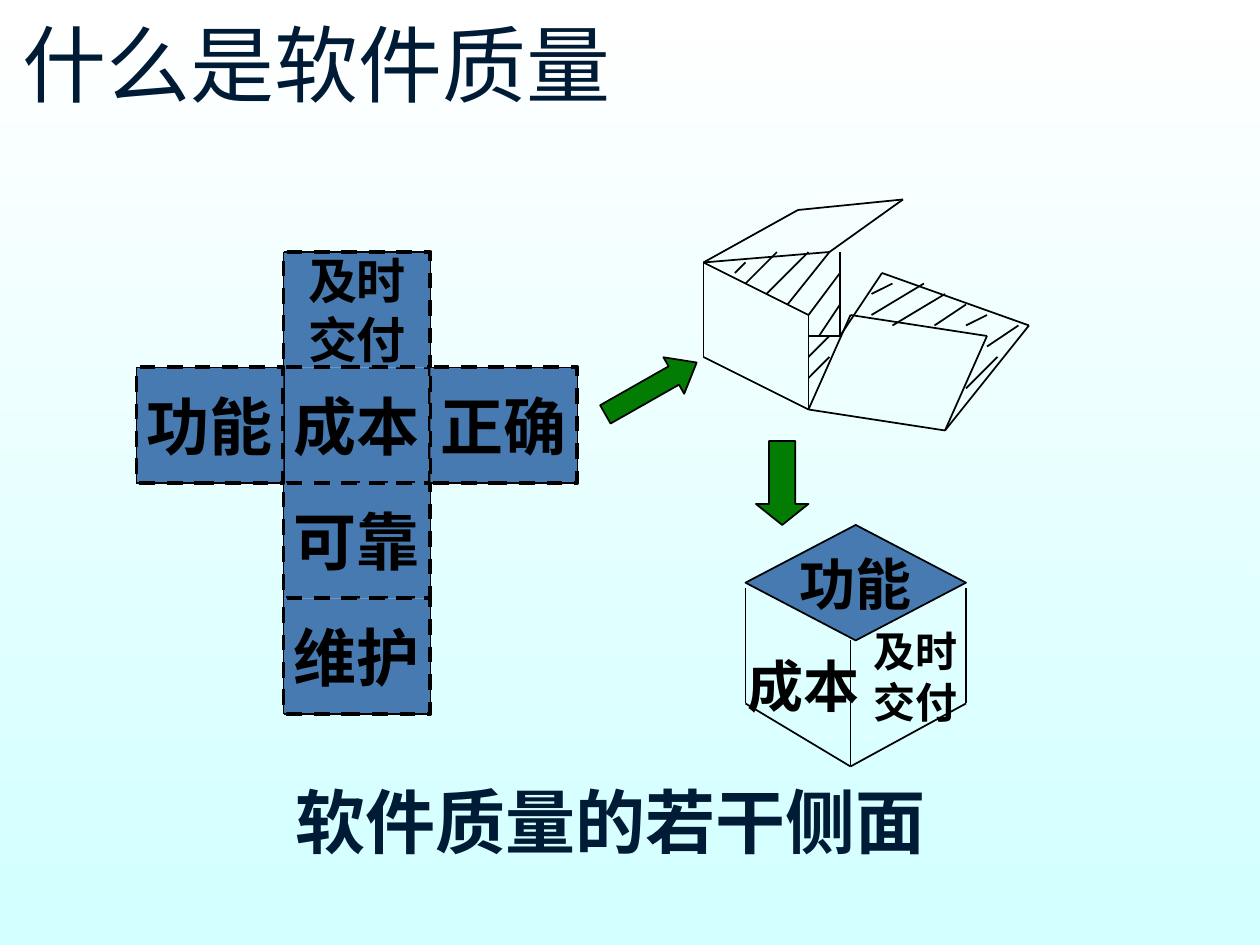
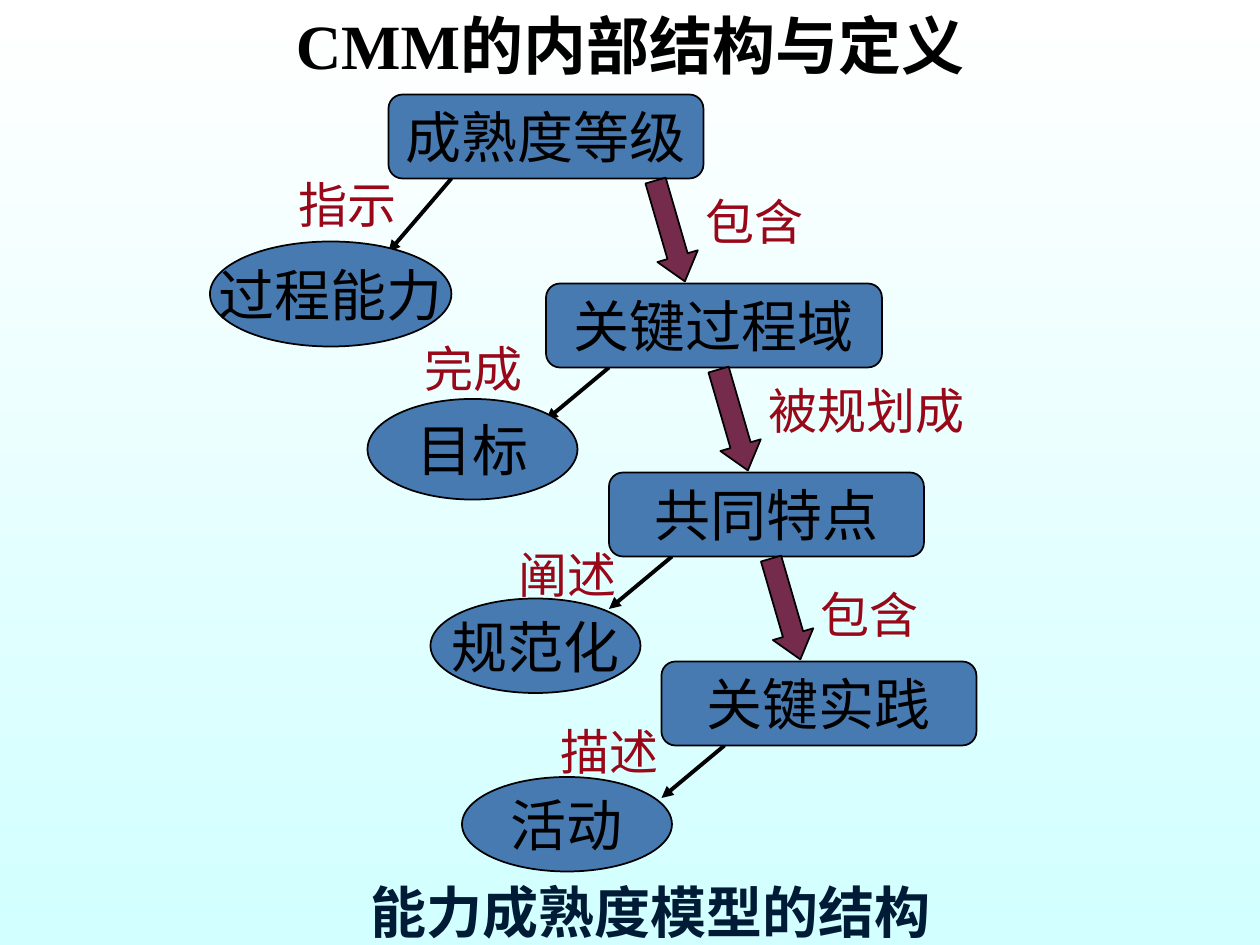
from pptx import Presentation
from pptx.dml.color import RGBColor
from pptx.enum.dml import MSO_LINE_DASH_STYLE as Dash
from pptx.enum.shapes import MSO_CONNECTOR as Connector, MSO_SHAPE as Shape
from pptx.enum.text import MSO_ANCHOR as Anchor, PP_ALIGN as Align
from pptx.oxml.ns import qn
from pptx.util import Pt
from lxml.etree import SubElement

COLORS = {
    "top": "FFFFFF", "bottom": "D2FFFF", "navy": "001B36", "black": "000000",
    "blue": "477AB1", "green": "037C03", "plum": "752B4B", "red": "980819",
}
CJK = "Noto Sans CJK SC"
SERIF = "Times New Roman"
GRID = 6


def add_item(slide, box, lines=(), size=32, kind=None, fill="blue", color="black", bold=False,
             line_width=1, wrap=False, align=None, anchor=None):
    left, top, width, height = [Pt(value) for value in box]
    if kind is None:
        shape = slide.shapes.add_textbox(left, top, width, height)
    else:
        shape = slide.shapes.add_shape(kind, left, top, width, height)
        shape.shadow.inherit = False
        shape.fill.solid()
        shape.fill.fore_color.rgb = RGBColor.from_string(COLORS[fill])
        shape.line.color.rgb = RGBColor.from_string(COLORS["black"])
        shape.line.width = Pt(line_width)
        align, anchor = Align.CENTER, Anchor.MIDDLE
    frame = shape.text_frame
    frame.word_wrap = wrap
    frame.vertical_anchor = anchor or Anchor.TOP
    for index, runs in enumerate(lines):
        paragraph = frame.paragraphs[0] if index == 0 else frame.add_paragraph()
        paragraph.alignment = align or Align.LEFT
        paragraph.line_spacing = Pt(round(size * 1.2, 1))
        for text, font_name in [(runs, CJK)] if isinstance(runs, str) else runs:
            run = paragraph.add_run()
            run.text = text
            run.font.size = Pt(size)
            run.font.bold = bold
            run.font.color.rgb = RGBColor.from_string(COLORS[color])
            run.font.name = font_name
            SubElement(run._r.get_or_add_rPr(), qn("a:ea"), typeface=CJK)
    return shape


def add_line(slide, start, end, width=1):
    line = slide.shapes.add_connector(
        Connector.STRAIGHT, *[Pt(value) for value in (*start, *end)])
    line.line.color.rgb = RGBColor.from_string(COLORS["black"])
    line.line.width = Pt(width)
    SubElement(line._element.spPr, qn("a:effectLst"))
    return line


presentation = Presentation()
presentation.slide_width, presentation.slide_height = Pt(720), Pt(540)
slides = []
for number in range(2):
    slide = presentation.slides.add_slide(presentation.slide_layouts[6])
    background = slide.background.fill
    background.gradient()
    background.gradient_angle = 270
    for stop, position, name in zip(background.gradient_stops, (0, 1), ("top", "bottom")):
        stop.position = position
        stop.color.rgb = RGBColor.from_string(COLORS[name])
    slides.append(slide)
quality_slide, cmm_slide = slides

add_item(quality_slide, (6, 0, 708, 72), ["什么是软件质量"], 48, color="navy",
         wrap=True, anchor=Anchor.MIDDLE)

cell_width, cell_height = 84, 66
cross_cells = [
    (1, 1, ["成本"], 36), (1, 2, ["可靠"], 36), (1, 3, ["维护"], 36),
    (1, 0, ["及时", "交付"], 28), (2, 1, ["正确"], 36), (0, 1, ["功能"], 36),
]
for column, row, lines, size in cross_cells:
    cell_box = (78 + column * cell_width, 144 + row * cell_height, cell_width, cell_height)
    cell = add_item(quality_slide, cell_box, lines, size, Shape.RECTANGLE,
                    bold=True, line_width=2.25)
    cell.line.dash_style = Dash.DASH

add_item(quality_slide, (426, 300, 126, 66), ["功能"], 32, Shape.DIAMOND, bold=True)
add_item(quality_slide, (420, 368.5, 78.5, 46), ["成本"], 32, bold=True)
add_item(quality_slide, (492, 354, 84, 65), ["及时", "交付"], 24, bold=True, wrap=True)

cross_outline = [(27, 24), (41, 24), (41, 35), (55, 35), (55, 46), (41, 46), (41, 68),
                 (27, 68), (27, 46), (13, 46), (13, 35), (27, 35), (27, 24)]
cube_edges = [
    [(71, 56), (71, 67), (81, 73), (92, 67), (92, 56)],
    [(81, 61), (81, 73)],
]
open_box_edges = [
    [(67, 25), (77, 30), (77, 39), (67, 34), (67, 25)],
    [(81, 30), (77, 39), (90, 41), (94, 32), (81, 30)],
    [(67, 25), (79, 24), (86, 19), (76, 20), (67, 25)],
    [(80, 24), (80, 32), (77, 32)],
    [(80, 32), (84, 26), (98, 31), (90, 41)],
]
hatching = [
    [(85, 27), (83, 28)], [(88, 27), (83, 30)], [(90, 28), (85, 31)],
    [(92, 29), (89, 31)], [(94, 30), (92, 31)], [(94, 33), (97, 31)],
    [(92, 37), (95, 34)], [(71, 25), (70, 26)], [(74, 24), (71, 27)],
    [(77, 24), (73, 28)], [(79, 24), (75, 29)], [(80, 26), (77, 30)],
    [(80, 29), (78, 32)], [(77, 34), (79, 32)], [(77, 36), (79, 34)],
]
for chain in [cross_outline, *cube_edges, *open_box_edges, *hatching]:
    points = [(x * GRID, y * GRID) for x, y in chain]
    for start, end in zip(points, points[1:]):
        add_line(quality_slide, start, end)

fold_arrow = add_item(quality_slide, (342, 210, 60, 24), kind=Shape.RIGHT_ARROW, fill="green")
fold_arrow.adjustments[1] = 0.625
fold_arrow.rotation = 330.4
close_arrow = add_item(quality_slide, (432, 252, 30, 48), kind=Shape.DOWN_ARROW, fill="green")
close_arrow.adjustments[1] = 0.4
add_item(quality_slide, (162, 441.5, 380, 55.5), ["软件质量的若干侧面"], 40,
         color="navy", bold=True, wrap=True)

add_item(cmm_slide, (0, 0, 720, 50.5), [[("CMM", SERIF), ("的内部结构与定义", "Roboto")]], 36,
         bold=True, wrap=True, align=Align.CENTER)
add_item(cmm_slide, (204.5, 498, 335, 46), [[("能力成熟度模型的结构", SERIF)]], 32,
         color="navy", bold=True)

levels = [
    ("成熟度等级", 222, 180, 42, "过程能力", (120, 138, 138, 60), "指示", (163.5, 96.5)),
    ("关键过程域", 312, 192, 30, "目标", (210, 228, 120, 57.5), "完成", (235.5, 190)),
    ("共同特点", 348, 180, 30, "规范化", (246, 342, 120, 54), "阐述", (289.5, 307.5)),
    ("关键实践", 378, 180, 30, "活动", (264, 444, 120, 54), "描述", (313.5, 409)),
]
level_height, level_step = 48, 108
for index, (name, left, width, drop, result, oval, relation, label_at) in enumerate(levels):
    top = 54 + index * level_step
    bottom = top + level_height
    result_arrow = add_line(cmm_slide, (left + 36, bottom), (left, bottom + drop), 2.25)
    SubElement(result_arrow.line._get_or_add_ln(), qn("a:tailEnd"), type="triangle")
    add_item(cmm_slide, oval, [result], 32, Shape.OVAL)
    add_item(cmm_slide, (left, top, width, level_height), [name], 32, Shape.ROUNDED_RECTANGLE)
    add_item(cmm_slide, (*label_at, 72, 41), [relation], 28, color="red")

steps = [("包含", 106, 72), ("被规划成", 214, 128), ("包含", 330.5, 72)]
for index, (relation, label_top, label_width) in enumerate(steps):
    next_left = levels[index + 1][1]
    step_top = 102 + index * level_step
    step_arrow = add_item(cmm_slide, (next_left + 59, step_top, 24, 60),
                          kind=Shape.DOWN_ARROW, fill="plum")
    step_arrow.adjustments[1] = 0.625
    step_arrow.rotation = 343.8
    add_item(cmm_slide, (next_left + 84, label_top, label_width, 41), [relation], 28, color="red")

presentation.save("out.pptx")
